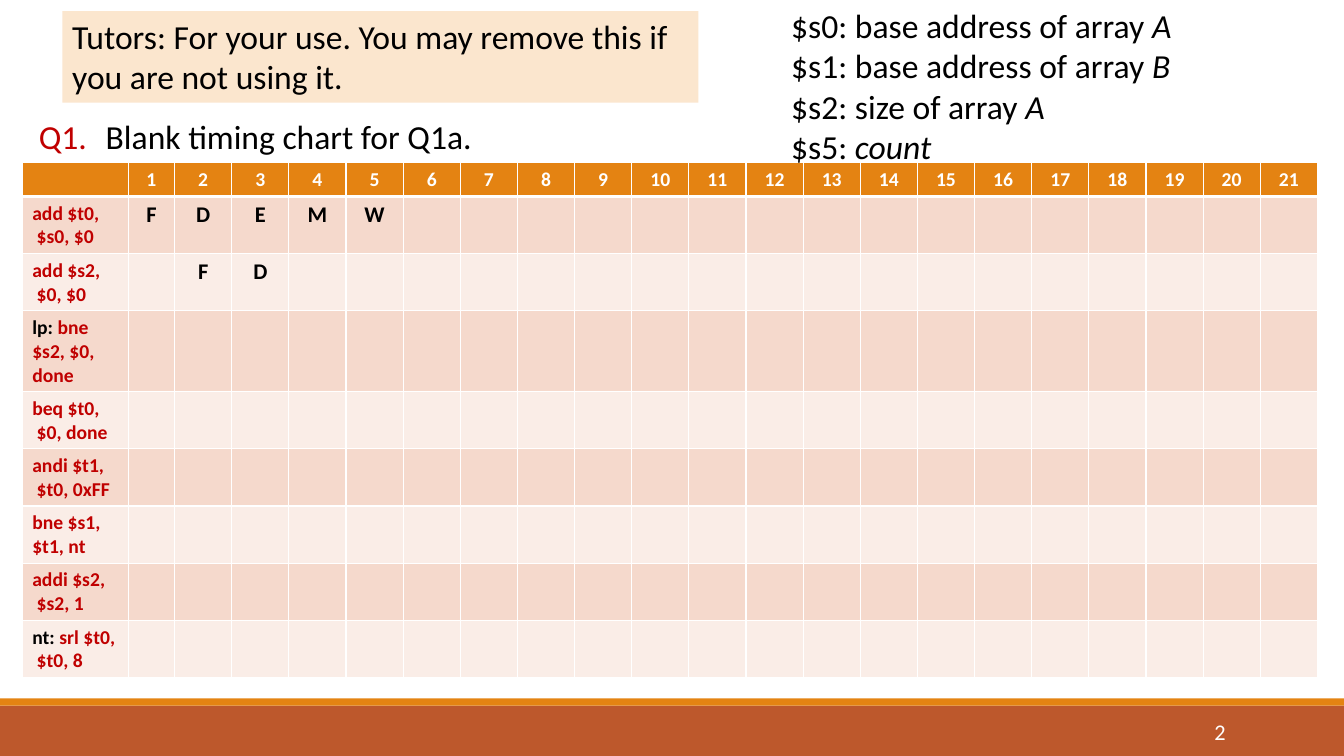
import pptx
import pptx.dml.color
import pptx.enum.shapes
import pptx.enum.text
import pptx.oxml
import pptx.oxml.ns
import pptx.util
from pptx.dml.color import RGBColor
from pptx.util import Cm

BLACK = RGBColor(0x00, 0x00, 0x00)
WHITE = RGBColor(0xFF, 0xFF, 0xFF)
RED = RGBColor(0xC0, 0x00, 0x00)
ORANGE = RGBColor(0xE4, 0x83, 0x12)
RUST = RGBColor(0xBD, 0x58, 0x2C)
CREAM = RGBColor(0xFB, 0xE6, 0xCE)
ROW_DARK = RGBColor(0xF5, 0xD9, 0xCC)
ROW_LIGHT = RGBColor(0xFA, 0xED, 0xE7)

LEFT = pptx.enum.text.PP_ALIGN.LEFT
CENTER = pptx.enum.text.PP_ALIGN.CENTER
RIGHT = pptx.enum.text.PP_ALIGN.RIGHT
TOP = pptx.enum.text.MSO_ANCHOR.TOP
MIDDLE = pptx.enum.text.MSO_ANCHOR.MIDDLE
GROW = pptx.enum.text.MSO_AUTO_SIZE.SHAPE_TO_FIT_TEXT
RECTANGLE = pptx.enum.shapes.MSO_SHAPE.RECTANGLE


def write(frame, text, size=24, color=BLACK, bold=False, italic=False, align=LEFT, new_line=False):
    paragraph = frame.add_paragraph() if new_line else frame.paragraphs[-1]
    paragraph.alignment = align
    run = paragraph.add_run()
    run.text = text
    run.font.name = "Calibri"
    run.font.size = pptx.util.Pt(size)
    run.font.color.rgb = color
    run.font.bold = bold
    run.font.italic = italic


def paint_cell(cell, fill, bottom_width):
    cell.fill.solid()
    cell.fill.fore_color.rgb = fill
    properties = cell._tc.get_or_add_tcPr()
    for position, (side, width) in enumerate([("L", 1), ("R", 1), ("T", 1), ("B", bottom_width)]):
        border = pptx.oxml.parse_xml(
            f'<a:ln{side} {pptx.oxml.ns.nsdecls("a")} w="{pptx.util.Pt(width)}">'
            f'<a:solidFill><a:srgbClr val="{WHITE}"/></a:solidFill></a:ln{side}>')
        properties.insert(position, border)


presentation = pptx.Presentation()
presentation.slide_width = Cm(33.87)
presentation.slide_height = Cm(19.05)
slide = presentation.slides.add_slide(presentation.slide_layouts[5])

heading = slide.shapes.title
heading.left, heading.top, heading.width, heading.height = Cm(2.41), Cm(2.79), Cm(22.96), Cm(1.28)
heading.text_frame.vertical_anchor = TOP
heading.text_frame.word_wrap = True
heading.text_frame.auto_size = GROW
write(heading.text_frame, "Blank timing chart for Q1a.")

for top, height, fill in [(17.78, 1.27, RUST), (17.6, 0.18, ORANGE)]:
    footer_bar = slide.shapes.add_shape(RECTANGLE, 0, Cm(top), presentation.slide_width, Cm(height))
    footer_bar.shadow.inherit = False
    footer_bar.fill.solid()
    footer_bar.fill.fore_color.rgb = fill
    footer_bar.line.fill.background()

question_number = slide.shapes.add_textbox(Cm(0.33), Cm(2.79), Cm(2.51), Cm(1.28)).text_frame
question_number.word_wrap = True
question_number.auto_size = GROW
write(question_number, "Q1.", color=RED, align=CENTER)

instructions = [
    ("", ["add $t0,", " $s0, $0"]),
    ("", ["add $s2,", " $0, $0"]),
    ("lp: ", ["bne $s2, $0, done"]),
    ("", ["beq $t0,", " $0, done"]),
    ("", ["andi $t1,", " $t0, 0xFF"]),
    ("", ["bne $s1, $t1, nt"]),
    ("", ["addi $s2,", " $s2, 1"]),
    ("nt: ", ["srl $t0,", " $t0, 8"]),
]
stages = {1: (1, "FDEMW"), 2: (2, "FD")}
column_widths = [2.67, 1.17] + [1.44] * 20
row_heights = [0.84, 1.44, 1.44, 2.04] + [1.44] * 5

timing_chart = slide.shapes.add_table(
    len(row_heights), len(column_widths), Cm(0.56), Cm(4.1),
    Cm(sum(column_widths)), Cm(sum(row_heights))).table
for column, width in zip(timing_chart.columns, column_widths):
    column.width = Cm(width)
for row_index, (row, height) in enumerate(zip(timing_chart.rows, row_heights)):
    row.height = Cm(height)
    row_fill = ROW_DARK if row_index % 2 else ROW_LIGHT
    for cell in row.cells:
        paint_cell(cell, row_fill if row_index else ORANGE, 1 if row_index else 3)

corner = timing_chart.cell(0, 0)
corner.margin_top = corner.margin_bottom = 0
for cycle in range(1, len(column_widths)):
    write(timing_chart.cell(0, cycle).text_frame, str(cycle), size=14, color=WHITE, bold=True, align=CENTER)
for row_index, (label, code_lines) in enumerate(instructions, start=1):
    instruction = timing_chart.cell(row_index, 0).text_frame
    if label:
        write(instruction, label, size=14, bold=True)
    for line_index, code in enumerate(code_lines):
        write(instruction, code, size=14, color=RED, bold=True, new_line=line_index > 0)
for row_index, (first_cycle, letters) in stages.items():
    for cycle, letter in enumerate(letters, start=first_cycle):
        write(timing_chart.cell(row_index, cycle).text_frame, letter, size=16, bold=True, align=CENTER)

page_number = slide.shapes.add_textbox(Cm(27.51), Cm(17.93), Cm(3.63), Cm(1.02)).text_frame
page_number.word_wrap = True
page_number.vertical_anchor = MIDDLE
write(page_number, "2", size=16, color=WHITE, align=RIGHT)

tutor_note = slide.shapes.add_shape(RECTANGLE, Cm(1.57), Cm(0.28), Cm(16.03), Cm(2.31))
tutor_note.shadow.inherit = False
tutor_note.fill.solid()
tutor_note.fill.fore_color.rgb = CREAM
tutor_note.line.fill.background()
tutor_note.text_frame.word_wrap = True
tutor_note.text_frame.vertical_anchor = TOP
tutor_note.text_frame.auto_size = GROW
write(tutor_note.text_frame, "Tutors: For your use. You may remove this if you are not using it.")

registers = [
    ("$s0: base address of array ", "A"),
    ("$s1: base address of array ", "B"),
    ("$s2: size of array ", "A"),
    ("$s5: ", "count"),
]
register_key = slide.shapes.add_textbox(Cm(19.69), 0, Cm(11.18), Cm(4.37)).text_frame
register_key.word_wrap = True
register_key.auto_size = GROW
for index, (meaning, variable) in enumerate(registers):
    write(register_key, meaning, new_line=index > 0)
    write(register_key, variable, italic=True)

presentation.save("out.pptx")
